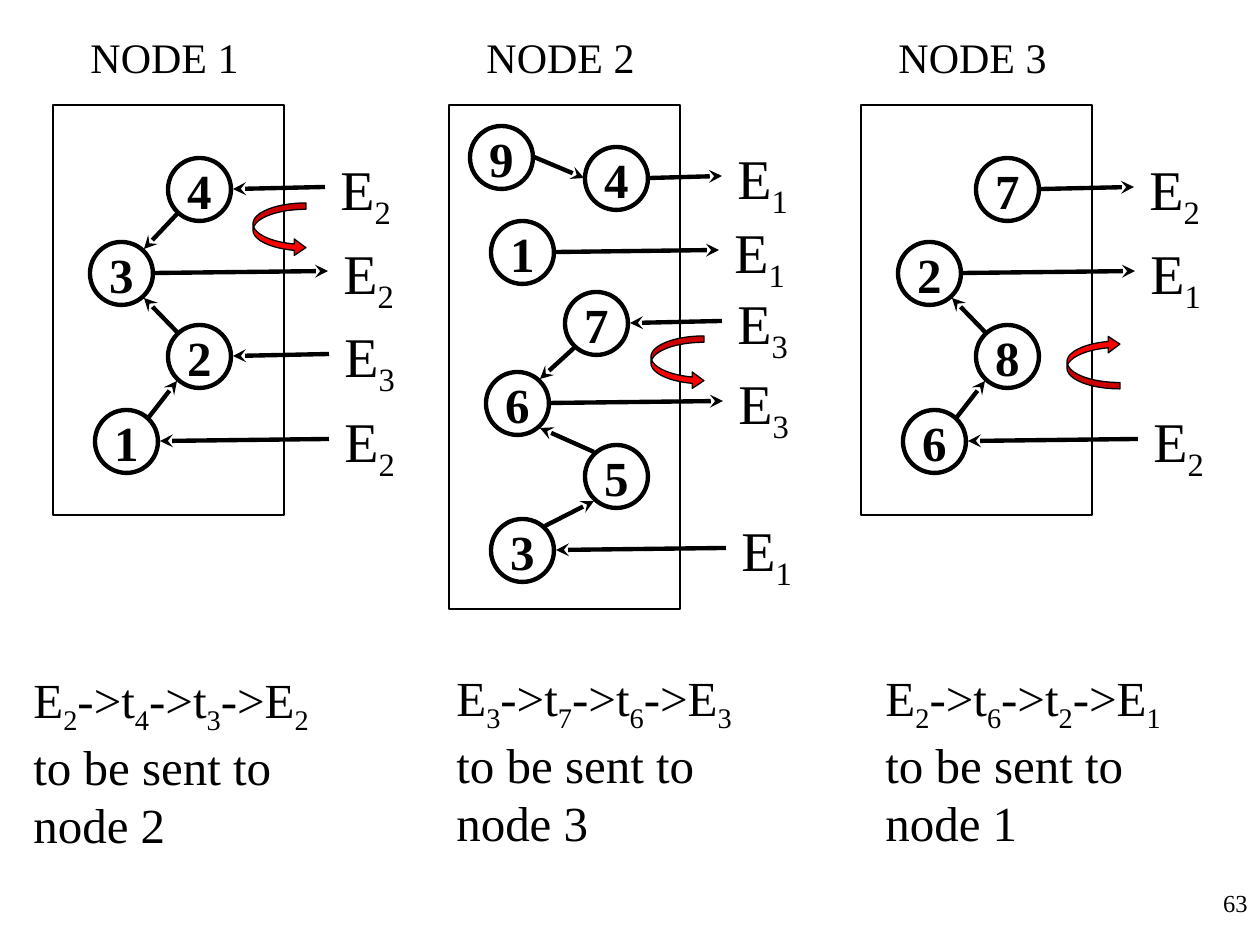
from dataclasses import dataclass

from lxml import etree
from pptx import Presentation
from pptx import util as u
from pptx.dml.color import RGBColor
from pptx.enum import shapes, text
from pptx.oxml.ns import qn

PX_PER_INCH = 126
CIRCLE = 63


def px(length):
    return u.Inches(length / PX_PER_INCH)


@dataclass(frozen=True)
class Theme:
    font: str = "Times New Roman"
    ink: RGBColor = RGBColor(0, 0, 0)
    paper: RGBColor = RGBColor(255, 255, 255)
    turn: RGBColor = RGBColor(255, 0, 0)
    thin: float = 0.75
    thick: float = 2.5
    page_size: int = 14
    heading_size: int = 24
    body_size: int = 28
    label_size: int = 32


class Diagram:
    def __init__(self, slide, theme):
        self.slide = slide
        self.theme = theme

    def add_runs(self, paragraph, wording, size, align=None, bold=None):
        """Add runs; the character after each underscore is a subscript."""
        paragraph.alignment = align
        first, *rest = wording.split("_")
        pieces = [(first, False)]
        for part in rest:
            pieces += [(part[0], True), (part[1:], False)]
        for piece, lowered in pieces:
            if not piece:
                continue
            run = paragraph.add_run()
            run.text = piece
            run.font.name = self.theme.font
            run.font.size = u.Pt(size)
            run.font.bold = bold
            run.font.color.rgb = self.theme.ink
            if lowered:
                run.font._element.set("baseline", "-25000")

    def textbox(self, x, y, w, h, lines, size, align=None, wrap=True, grow=True):
        box = self.slide.shapes.add_textbox(px(x), px(y), px(w), px(h))
        frame = box.text_frame
        frame.word_wrap = wrap
        if grow:
            frame.auto_size = text.MSO_AUTO_SIZE.SHAPE_TO_FIT_TEXT
        for index, line in enumerate(lines):
            paragraph = frame.add_paragraph() if index else frame.paragraphs[0]
            self.add_runs(paragraph, line, size, align)

    def shape(self, kind, x, y, w, h, fill, weight):
        shape = self.slide.shapes.add_shape(kind, px(x), px(y), px(w), px(h))
        shape.shadow.inherit = False
        if fill is None:
            shape.fill.background()
        else:
            shape.fill.solid()
            shape.fill.fore_color.rgb = fill
        shape.line.color.rgb = self.theme.ink
        shape.line.width = u.Pt(weight)
        return shape

    def frame(self, x, y, w, h):
        self.shape(shapes.MSO_SHAPE.RECTANGLE, x, y, w, h, None, self.theme.thin)

    def circle(self, x, y, number):
        circle = self.shape(shapes.MSO_SHAPE.OVAL, x, y, CIRCLE, CIRCLE,
                            self.theme.paper, self.theme.thick)
        circle.text_frame.word_wrap = False
        circle.text_frame.vertical_anchor = text.MSO_ANCHOR.MIDDLE
        self.add_runs(circle.text_frame.paragraphs[0], number,
                      self.theme.body_size, text.PP_ALIGN.CENTER, True)

    def arrow(self, start, end):
        line = self.slide.shapes.add_connector(
            shapes.MSO_CONNECTOR.STRAIGHT, *map(px, start), *map(px, end))
        line.line.color.rgb = self.theme.ink
        line.line.width = u.Pt(self.theme.thick)
        etree.SubElement(line.line._get_or_add_ln(), qn("a:tailEnd"), type="stealth")
        etree.SubElement(line._element.spPr, qn("a:effectLst"))

    def link(self, source, target):
        """Join two circles, from corner to corner or, if nearly level, side to side."""
        (sx, sy), (tx, ty) = source, target
        if abs(ty - sy) < CIRCLE / 2:
            middle = CIRCLE // 2
            self.arrow((sx + CIRCLE + 1, sy + middle), (tx - 1, ty + middle))
            return

        def corner(origin, right, low):
            x, y = origin
            return (x + (CIRCLE - 9 if right else 9), y + (CIRCLE - 7 if low else 7))

        self.arrow(corner(source, tx > sx, ty > sy), corner(target, sx > tx, sy > ty))

    def external(self, circle, label, reach, inward):
        """Arrow between a circle and the label outside its frame."""
        x, y = circle
        near = (x + CIRCLE + 2, y + CIRCLE // 2)
        far = (reach, y + CIRCLE // 2 - 2)
        self.arrow(*((far, near) if inward else (near, far)))
        self.textbox(reach, y - 10, 81, 89, [label], self.theme.label_size,
                     text.PP_ALIGN.CENTER)

    def turn(self, x, y, upward):
        bend = self.shape(shapes.MSO_SHAPE.CURVED_RIGHT_ARROW, x, y, 53, 53,
                          self.theme.turn, self.theme.thin)
        for index, ratio in enumerate((0.12, 0.31, 0.22)):
            bend.adjustments[index] = ratio
        if upward:
            bend._element.spPr.xfrm.set("flipV", "1")

    def node(self, name, left, height, tasks, links, externals, turn, note):
        theme = self.theme
        self.frame(left, 105, 231, height)
        self.textbox(left + 25, 25, 173, 63, [name], theme.heading_size,
                     text.PP_ALIGN.CENTER, wrap=False)
        places = {task: (left + x, y) for task, (x, y) in tasks.items()}
        for task, place in places.items():
            self.circle(*place, task)
        for source, target in links:
            self.link(places[source], places[target])
        for task, label, reach, inward in externals:
            self.external(places[task], label, left + reach, inward)
        turn_x, turn_y, upward = turn
        self.turn(left + turn_x, turn_y, upward)
        note_x, note_y, note_lines = note
        self.textbox(note_x, note_y, 334, 198, note_lines, theme.body_size)


IN, OUT = True, False
ZIGZAG = [(42, 410), (115, 325), (37, 242), (115, 158)]

NODES = [
    dict(name="NODE 1", left=53, height=410,
         tasks=dict(zip("1234", ZIGZAG)),
         links=["43", "23", "12"],
         externals=[("1", "E_2", 276, IN), ("2", "E_3", 276, IN),
                    ("3", "E_2", 275, OUT), ("4", "E_2", 272, IN)],
         turn=(200, 203, False),
         note=(21, 663, ["E_2->t_4->t_3->E_2", "to be sent to node 2"])),
    dict(name="NODE 2", left=449, height=504,
         tasks={"3": (42, 519), "5": (136, 445), "6": (37, 372), "7": (116, 292),
                "1": (42, 221), "4": (136, 147), "9": (21, 126)},
         links=["76", "56", "35", "94"],
         externals=[("3", "E_1", 277, IN), ("6", "E_3", 274, OUT),
                    ("7", "E_3", 273, IN), ("1", "E_1", 270, OUT),
                    ("4", "E_1", 273, OUT)],
         turn=(202, 336, False),
         note=(444, 661, ["E_3->t_7->t_6->E_3", "to be sent to node 3"])),
    dict(name="NODE 3", left=861, height=410,
         tasks=dict(zip("6827", ZIGZAG)),
         links=["82", "68"],
         externals=[("6", "E_2", 277, IN), ("2", "E_1", 274, OUT),
                    ("7", "E_2", 273, OUT)],
         turn=(206, 336, True),
         note=(873, 661, ["E_2->t_6->t_2->E_1", "to be sent to node 1"])),
]


def main():
    deck = Presentation()
    deck.slide_width, deck.slide_height = px(1260), px(945)
    theme = Theme()
    diagram = Diagram(deck.slides.add_slide(deck.slide_layouts[6]), theme)
    for node in NODES:
        diagram.node(**node)
    diagram.textbox(998, 882, 262, 63, ["63"], theme.page_size,
                    text.PP_ALIGN.RIGHT, grow=False)
    deck.save("out.pptx")


if __name__ == "__main__":
    main()
